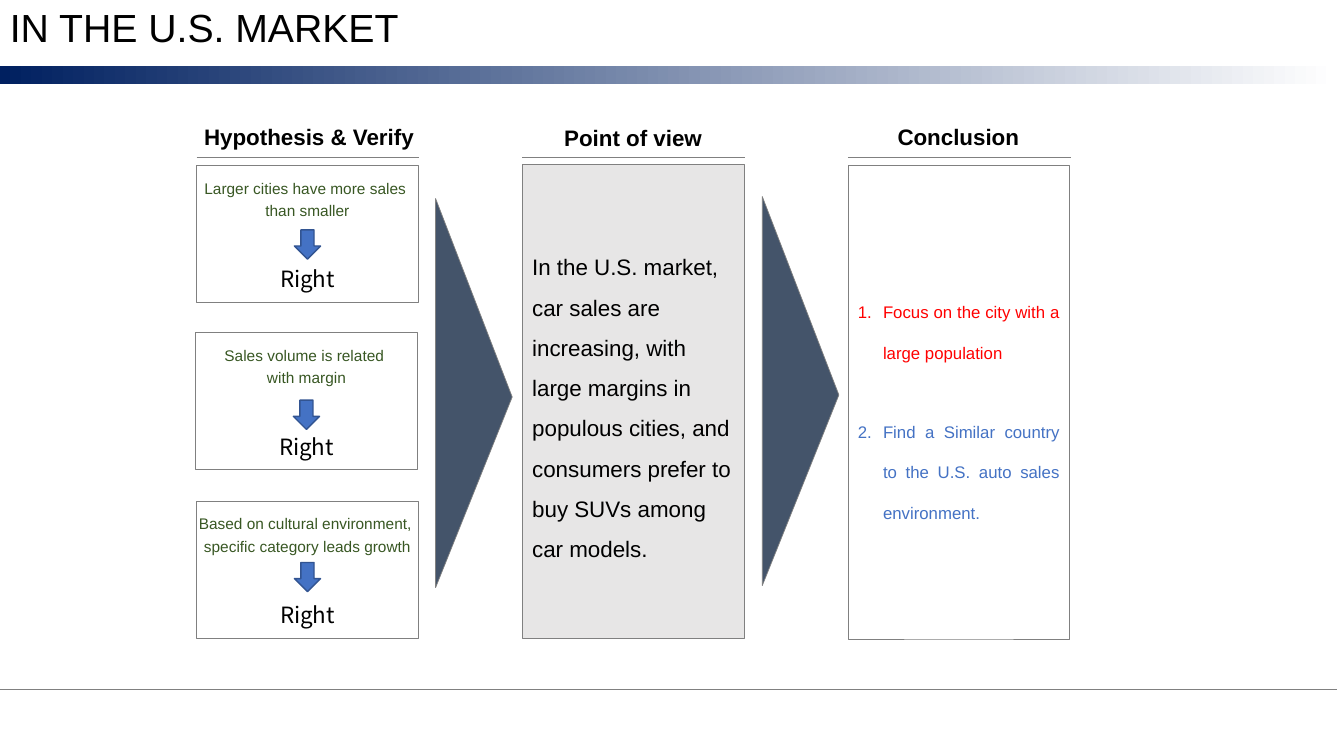
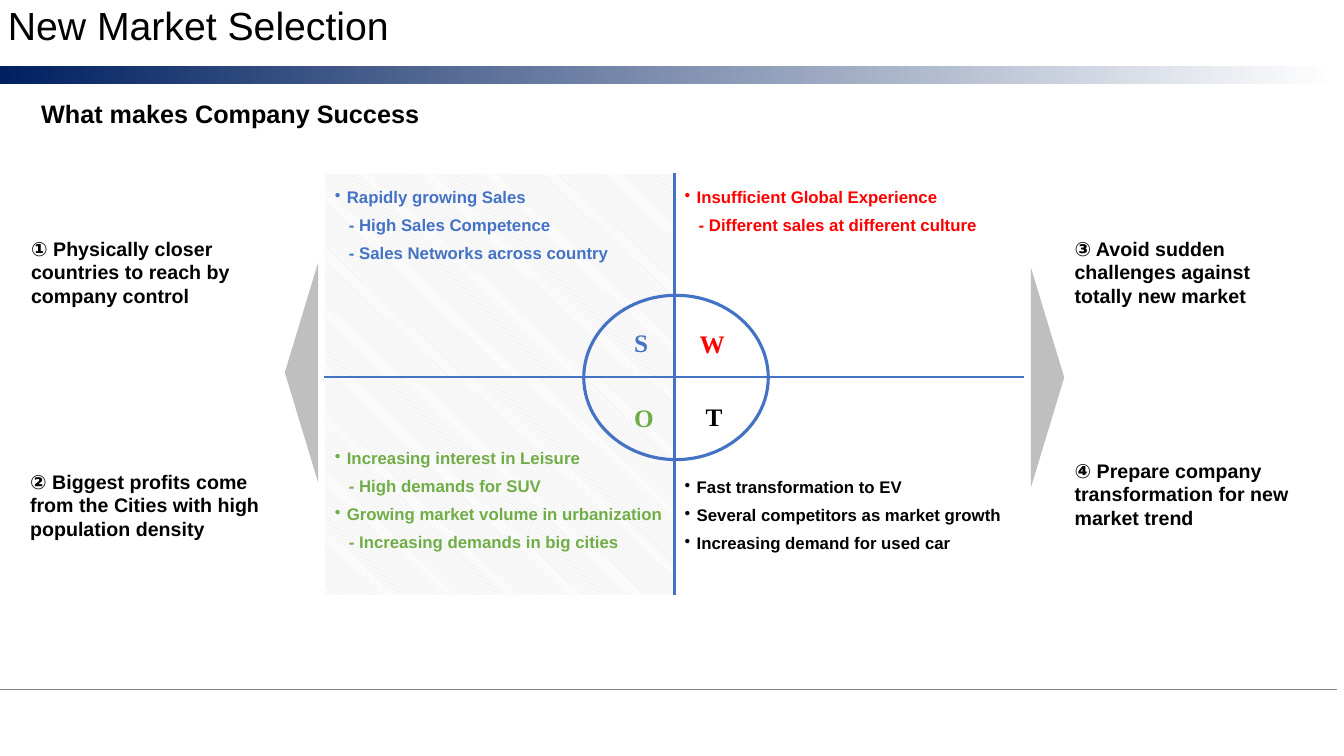
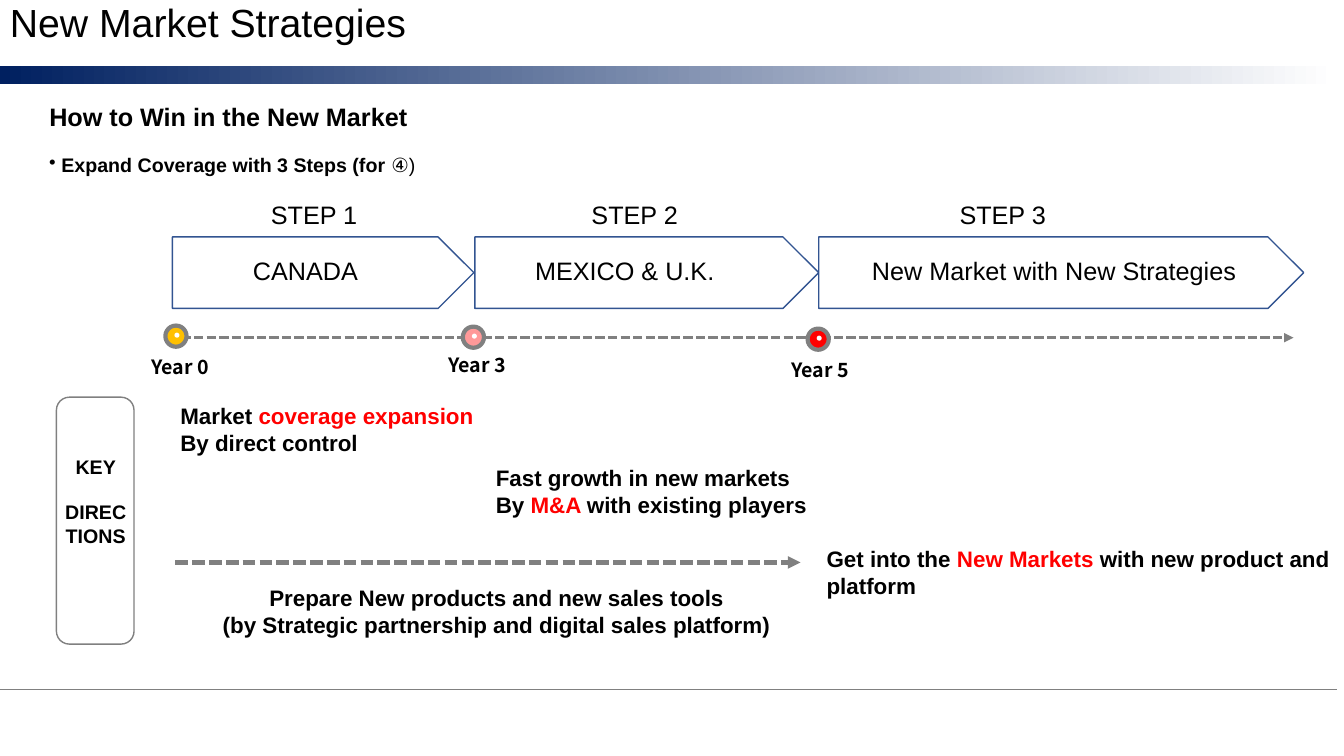
from lxml import etree
from pptx import Presentation
from pptx.dml.color import RGBColor
from pptx.enum.dml import MSO_LINE, MSO_PATTERN
from pptx.enum.shapes import MSO_CONNECTOR, MSO_SHAPE
from pptx.enum.text import MSO_ANCHOR, PP_ALIGN
from pptx.oxml.ns import qn
from pptx.util import Pt

PX = 9144  # 100 px to the inch
TEXT, LINE = "text", "line"
RECT, ROUNDED = MSO_SHAPE.RECTANGLE, MSO_SHAPE.ROUNDED_RECTANGLE
OVAL, TRIANGLE = MSO_SHAPE.OVAL, MSO_SHAPE.ISOSCELES_TRIANGLE
PENTAGON, DOWN_ARROW = MSO_SHAPE.PENTAGON, MSO_SHAPE.DOWN_ARROW
LEFT, CENTER, JUSTIFY = PP_ALIGN.LEFT, PP_ALIGN.CENTER, PP_ALIGN.JUSTIFY
MIDDLE = MSO_ANCHOR.MIDDLE
STRAIGHT, DASH = MSO_CONNECTOR.STRAIGHT, MSO_LINE.SQUARE_DOT
HATCH = MSO_PATTERN.LIGHT_DOWNWARD_DIAGONAL

COLORS = {name: RGBColor.from_string(value) for name, value in {
    "black": "000000", "white": "FFFFFF", "navy": "002060", "slate": "44546A",
    "gray": "808080", "silver": "BFBFBF", "hatch": "D9D9D9", "pale": "E7E6E6",
    "blue": "4472C4", "edge": "325491", "red": "FF0000", "green": "70AD47",
    "forest": "385723", "gold": "FFC000", "pink": "FF9999",
}.items()}
CJK, SERIF = "Noto Sans CJK KR", "Times New Roman"
DOT = ("a:buChar", {"char": "•"}, 12)
NUMBER = ("a:buAutoNum", {"type": "arabicPeriod"}, 25)
DASH_INDENT = 14
WRAP = {"word_wrap": True}
BOLD_14, BOLD_16, BOLD_18 = ({"size": Pt(size), "bold": True} for size in (14, 16, 18))
PLAIN_18 = {"size": Pt(18)}


def draw(page, kind, at, fill=None, line=None, weight=0.5, turn=0, frame=None):
    """Add a shape, text box or straight line; at is left, top, width, height in px."""
    left, top, width, height = (value * PX for value in at)
    if kind == LINE:
        shape = page.shapes.add_connector(STRAIGHT, left, top, left + width, top + height)
        etree.SubElement(shape.element.spPr, qn("a:effectLst"))
    elif kind == TEXT:
        shape = page.shapes.add_textbox(left, top, width, height)
        shape.text_frame.word_wrap = False
    else:
        shape = page.shapes.add_shape(kind, left, top, width, height)
        shape.shadow.inherit = False
        shape.rotation = turn
        if fill:
            shape.fill.solid()
            shape.fill.fore_color.rgb = COLORS[fill]
        else:
            shape.fill.background()
    if line:
        shape.line.color.rgb = COLORS[line]
        shape.line.width = Pt(weight)
    elif kind != TEXT:
        shape.line.fill.background()
    for name, value in (frame or {}).items():
        setattr(shape.text_frame, name, value)
    return shape


def write(frame, lines, font, color="black", bullet=None, **layout):
    """Add paragraphs; a line is a string or a list of (text, color) spans."""
    for line in lines:
        para = frame.add_paragraph() if frame.text else frame.paragraphs[0]
        for name, value in {"alignment": LEFT, **layout}.items():
            setattr(para, name, value)
        spans = [(line, color)] if isinstance(line, str) else line
        for text, span_color in spans:
            span = para.add_run()
            span.text = text
            span.font.color.rgb = COLORS[span_color]
            for name, value in {"name": "Arial", **font}.items():
                setattr(span.font, name, value)
        if bullet:
            tag, attributes, indent = bullet
            properties = para._p.get_or_add_pPr()
            if spans[0][0].startswith("- "):
                properties.set("marL", str(DASH_INDENT * PX))
            else:
                properties.set("marL", str(indent * PX))
                properties.set("indent", str(-indent * PX))
                etree.SubElement(properties, qn(tag), attributes)


deck = Presentation()
deck.slide_width, deck.slide_height = 1333 * PX, 750 * PX
blank = deck.slide_layouts[6]
for holder in list(blank.placeholders):
    holder.element.getparent().remove(holder.element)

pages = []
for title, left, top in [("IN THE U.S. MARKET", 0, -2), ("New Market Selection", -2, -4),
                         ("New Market Strategies", 0, -7)]:
    page = deck.slides.add_slide(blank)
    box = draw(page, TEXT, (left, top, 1150, 57), frame=WRAP)
    write(box.text_frame, [title], {"size": Pt(28)})
    pages.append(page)
market_page, selection_page, strategy_page = pages

# Band and footer rule, moved to the layout so that every slide shows them
band = draw(market_page, RECT, (0, 66, 1326, 17))
band.fill.gradient()
band.fill.gradient_angle = 0
for stop, color in zip(band.fill.gradient_stops, ("navy", "white")):
    stop.color.rgb = COLORS[color]
rule = draw(market_page, LINE, (0, 684, 1326, 0), line="gray")
for part in (band, rule):
    blank.shapes.element.append(part.element)

# Slide 1: hypotheses, point of view, conclusion
for heading, left, top, width, rule_left in [("Hypothesis & Verify", 186, 109, 241, 195),
                                             ("Point of view", 518, 110, 220, 518),
                                             ("Conclusion", 862, 109, 177, 841)]:
    box = draw(market_page, TEXT, (left, top, width, 47), frame={"vertical_anchor": MIDDLE})
    write(box.text_frame, [heading], BOLD_16, alignment=CENTER, line_spacing=1.2)
    draw(market_page, LINE, (rule_left, 156, 221, 0), line="gray")

for left, top in [(277, 352), (601, 350)]:
    arrow = draw(market_page, TRIANGLE, (left, top, 386, 76), "slate", "gray", turn=90)
    arrow.adjustments[0] = 0.51

for left, top, arrow_top, hypothesis in [
    (195, 164, 228, ["Larger cities have more sales ", "than smaller"]),
    (194, 330, 397, ["Sales volume is related ", "with margin"]),
    (195, 497, 558, ["Based on cultural environment, ", "specific category leads growth"]),
]:
    box = draw(market_page, RECT, (left, top, 220, 136), "white", "gray",
               frame={"word_wrap": False})
    centered = {"alignment": CENTER, "line_spacing": 1.2}
    write(box.text_frame, hypothesis, {"size": Pt(11)}, "forest", **centered)
    write(box.text_frame, ["Right"], {"size": Pt(16), "name": CJK},
          space_before=Pt(29), **centered)
    draw(market_page, DOWN_ARROW, (left + 97, arrow_top, 26, 29), "blue", "edge", 1)

view = draw(market_page, RECT, (518, 163, 220, 470), "pale", "gray", frame=WRAP)
write(view.text_frame, [
    "In the U.S. market, car sales are increasing, with large margins in populous cities, "
    "and consumers prefer to buy SUVs among car models."], {"size": Pt(16)}, line_spacing=1.5)

conclusion = draw(market_page, RECT, (841, 164, 220, 470), "white", "gray", frame=WRAP)
for text, color, gap in [
    ("Focus on the city with a large population", "red", 0),
    ("Find a Similar country to the U.S. auto sales environment.", "blue", 28),
]:
    write(conclusion.text_frame, [text], {"size": Pt(12)}, color, NUMBER,
          alignment=JUSTIFY, line_spacing=2.0, space_before=Pt(gap))

# Slide 2: SWOT table with the four lessons around it
box = draw(selection_page, TEXT, (31, 93, 399, 40))
write(box.text_frame, ["What makes Company Success"], BOLD_18)

swot = selection_page.shapes.add_table(2, 2, 322 * PX, 172 * PX, 693 * PX, 419 * PX).table
swot.first_row = swot.horz_banding = False
for column, width in zip(swot.columns, (347, 346)):
    column.width = width * PX
for row, height in zip(swot.rows, (202, 217)):
    row.height = height * PX

for row, column, color, margin, lines in [
    (0, 0, "blue", 5, ["Rapidly growing Sales", "- High Sales Competence",
                       "- Sales Networks across country"]),
    (0, 1, "red", 5, ["Insufficient Global Experience",
                      "- Different sales at different culture"]),
    (1, 0, "green", 62, ["Increasing interest in Leisure", "- High demands for SUV",
                         "Growing market volume in urbanization",
                         "- Increasing demands in big cities"]),
    (1, 1, "black", 91, ["Fast transformation to EV", "Several competitors as market growth",
                         "Increasing demand for used car"]),
]:
    cell = swot.cell(row, column)
    cell.margin_top = margin * PX
    write(cell.text_frame, lines, {"size": Pt(12), "bold": True}, color, DOT, line_spacing=1.5)
    if column == 0:
        cell.fill.patterned()
        cell.fill.pattern = HATCH
        cell.fill.fore_color.rgb = COLORS["hatch"]
        cell.fill.back_color.rgb = COLORS["white"]
    else:
        cell.fill.background()
    inner_sides = {"LR"[1 - column], "TB"[1 - row]}
    for index, side in enumerate("LRTB"):
        inner = side in inner_sides
        border = etree.Element(qn("a:ln" + side), {"w": str(Pt(2.25 if inner else 1))})
        paint = etree.SubElement(border, qn("a:solidFill"))
        etree.SubElement(paint, qn("a:srgbClr"), {"val": str(COLORS["blue" if inner else "white"])})
        cell._tc.get_or_add_tcPr().insert(index, border)

draw(selection_page, OVAL, (579, 293, 183, 163), line="blue", weight=2.25)
for letter, color, left, top, width in [("S", "blue", 619, 320, 34), ("W", "red", 684, 321, 46),
                                        ("O", "green", 619, 394, 40), ("T", "black", 690, 393, 37)]:
    box = draw(selection_page, TEXT, (left, top, width, 40))
    write(box.text_frame, [letter], {**BOLD_18, "name": SERIF}, color)

for left, top, width, lesson in [
    (21, 230, 261, "① Physically closer countries to reach by company control"),
    (20, 461, 262, "② Biggest profits come from the Cities with high population density"),
    (1056, 230, 247, "③ Avoid sudden challenges against totally new market"),
    (1056, 450, 270, "④ Prepare company transformation for new market trend"),
]:
    box = draw(selection_page, TEXT, (left, top, width, 81), frame=WRAP)
    write(box.text_frame, [lesson], BOLD_14)

for left, top, turn in [(190, 353, 270), (930, 358, 90)]:
    draw(selection_page, TRIANGLE, (left, top, 218, 33), "silver", turn=turn)

# Slide 3: three steps over a timeline, with key directions below
box = draw(strategy_page, TEXT, (39, 96, 379, 40))
write(box.text_frame, ["How to Win in the New Market"], BOLD_18)
box = draw(strategy_page, TEXT, (39, 135, 523, 41), frame=WRAP)
write(box.text_frame, ["Expand Coverage with 3 Steps (for "], BOLD_14, bullet=DOT, line_spacing=1.5)
span = box.text_frame.paragraphs[0].add_run()
span.text = "④)"
for name, value in {"name": "Arial", "size": Pt(14), "bold": False}.items():
    setattr(span.font, name, value)

for step, left, width, market, market_left, market_width, step_left in [
    (1, 171, 299, "CANADA", 241, 125, 253),
    (2, 471, 341, "MEXICO & U.K.", 521, 200, 571),
    (3, 812, 481, "New Market with New Strategies", 855, 398, 936),
]:
    draw(strategy_page, PENTAGON, (left, 235, width, 71), "white", "edge", 1)
    box = draw(strategy_page, TEXT, (market_left, 248, market_width, 40))
    write(box.text_frame, [market], PLAIN_18)
    box = draw(strategy_page, TEXT, (step_left, 193, 124, 40), frame=WRAP)
    write(box.text_frame, [f"STEP {step} "], PLAIN_18, alignment=CENTER)

for left, top, width, weight in [(180, 335, 1103, 2.25), (174, 558, 620, 3)]:
    arrow = draw(strategy_page, LINE, (left, top, width, 0), line="gray", weight=weight)
    arrow.line.dash_style = DASH
    etree.SubElement(arrow.line._get_or_add_ln(), qn("a:tailEnd"), {"type": "triangle"})

for year, color, left, top, label_left, label_top in [(0, "gold", 164, 323, 140, 347),
                                                      (3, "pink", 459, 324, 435, 345),
                                                      (5, "red", 801, 326, 775, 350)]:
    draw(strategy_page, OVAL, (left, top, 21, 21), color, "gray", 3)
    draw(strategy_page, OVAL, (left + 9, top + 7, 5, 5), "white")
    box = draw(strategy_page, TEXT, (label_left, label_top, 78, 34))
    write(box.text_frame, [f"Year {year}"], {**BOLD_14, "name": CJK})

for left, top, width, wrap, align, lines in [
    (169, 394, 314, False, LEFT,
     [[("Market ", "black"), ("coverage expansion", "red")], "By direct control"]),
    (482, 456, 333, False, LEFT,
     ["Fast growth in new markets",
      [("By ", "black"), ("M&A ", "red"), ("with existing players", "black")]]),
    (810, 536, 519, True, LEFT,
     [[("Get into the", "black"), (" New Markets ", "red"),
       ("with new product and platform", "black")]]),
    (207, 575, 571, False, CENTER,
     ["Prepare New products and new sales tools",
      "(by Strategic partnership and digital sales platform)"]),
]:
    box = draw(strategy_page, TEXT, (left, top, width, 64), frame={"word_wrap": wrap})
    write(box.text_frame, lines, BOLD_16, alignment=align)

draw(strategy_page, ROUNDED, (56, 394, 77, 245), line="gray", weight=1)
box = draw(strategy_page, TEXT, (50, 446, 90, 104), frame=WRAP)
for word, gap in [("KEY", 0), ("DIRECTIONS", 16)]:
    write(box.text_frame, [word], BOLD_14, alignment=CENTER, space_before=Pt(gap))

deck.save("out.pptx")
